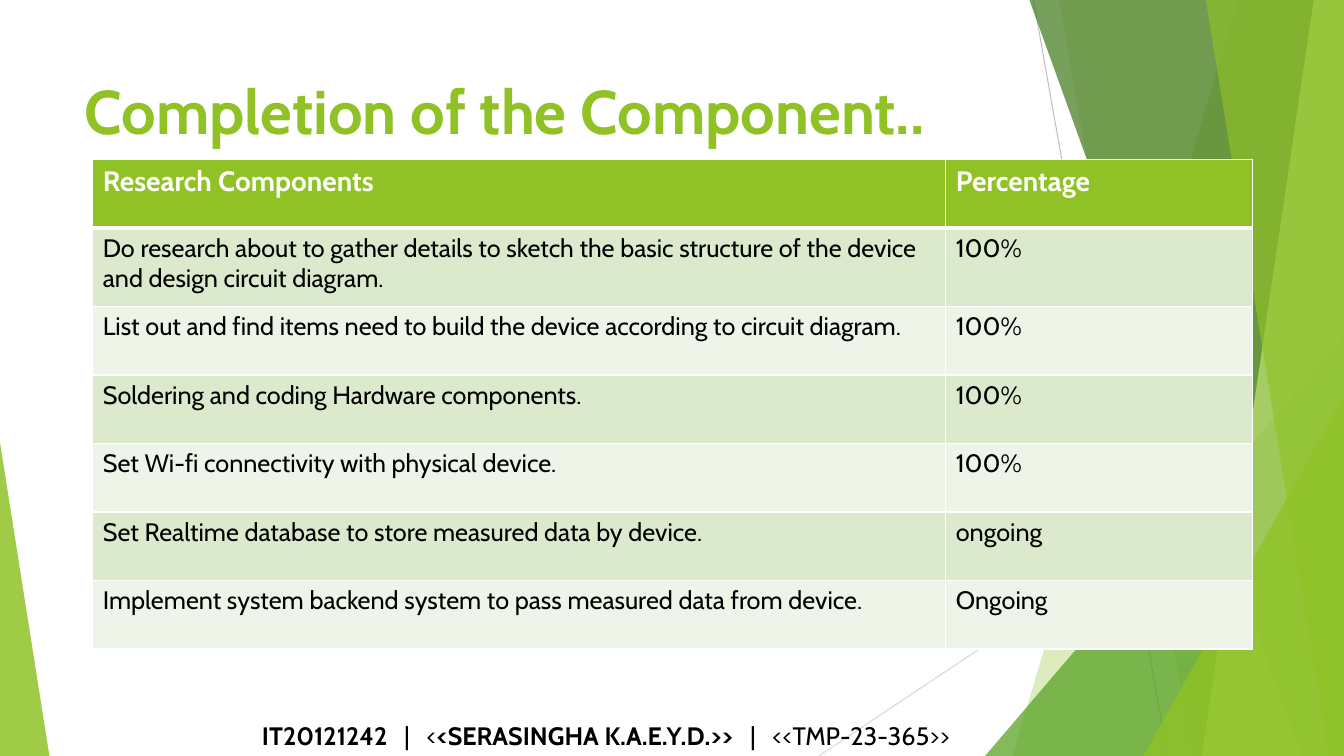
import pptx
import pptx.util
import pptx.dml.color
import pptx.enum.shapes
import pptx.enum.text
import pptx.oxml
import pptx.oxml.ns
import lxml.etree

Inches = pptx.util.Inches
Pt = pptx.util.Pt
RGBColor = pptx.dml.color.RGBColor
qn = pptx.oxml.ns.qn

FONT = "Cabin"
WIDTH, HEIGHT = 13.33, 7.5
LIME = RGBColor(0x90, 0xC2, 0x26)
GREEN = RGBColor(0x54, 0xA0, 0x21)
FOREST = RGBColor(0x3F, 0x78, 0x19)
PALE_LIME = RGBColor(0xC0, 0xE4, 0x74)
GREY = RGBColor(0xBF, 0xBF, 0xBF)
LIGHT_GREY = RGBColor(0xD9, 0xD9, 0xD9)
WHITE = RGBColor(0xFF, 0xFF, 0xFF)
BLACK = RGBColor(0, 0, 0)
BANDS = [RGBColor(0xDB, 0xE9, 0xCD), RGBColor(0xEE, 0xF4, 0xE8)]

TITLE = "Completion of the Component.."
FOOTER = [
    ("IT20121242", True),
    ("\t|\t<", False),
    ("<SERASINGHA K.A.E.Y.D.>>", True),
    ("\t|\t<<TMP-23-365>>", False),
]
FOOTER_TABS = [1.41, 1.63, 4.84, 5.06]
ROWS = [
    ("Research Components", "Percentage"),
    ("Do research about to gather details to sketch the basic structure of the device "
     "and design circuit diagram.", "100%"),
    ("List out and find items need to build the device according to circuit diagram.", "100%"),
    ("Soldering and coding Hardware components.", "100%"),
    ("Set Wi-fi connectivity with physical device.", "100%"),
    ("Set Realtime database to store measured data by device.", "ongoing"),
    ("Implement system backend system to pass measured data from device.", "Ongoing"),
]
COLUMN_WIDTHS = [8.46, 3.04]
ROW_HEIGHT, TALL_ROW_HEIGHT = 0.68, 0.78

RAYS = [
    ((10.25, 0), (11.58, HEIGHT), GREY),
    ((WIDTH, 4.03), (8.12, HEIGHT), LIGHT_GREY),
]
FACETS = [
    ("band", 12.28, 10.04, LIME, 30),
    ("band", 10.5, 11.83, LIME, 20),
    ("triangle", (9.77, 3.33, 3.56, 4.17), 1, GREEN, 72),
    ("band", 10.21, 12.91, FOREST, 70),
    ("band", 13.03, 11.92, PALE_LIME, 70),
    ("band", 11.96, 13.18, LIME, 65),
    ("triangle", (11.34, 3.93, 1.99, 3.57), 1, LIME, 80),
    ("triangle", (0, 4.39, 0.49, 3.11), 0, LIME, 85),
]


def add_ray(slide, start, end, color):
    line = slide.shapes.add_connector(
        pptx.enum.shapes.MSO_CONNECTOR.STRAIGHT, *map(Inches, start + end))
    line.line.color.rgb = color
    line.line.width = Pt(0.75)
    lxml.etree.SubElement(line._element.spPr, qn("a:effectLst"))


def add_facet(slide, kind, first, second, color, opacity):
    if kind == "band":
        corners = [(WIDTH, 0), (WIDTH, HEIGHT), (second, HEIGHT)]
        builder = slide.shapes.build_freeform(Inches(first), 0)
        builder.add_line_segments([(Inches(x), Inches(y)) for x, y in corners])
        shape = builder.convert_to_shape()
    else:
        shape = slide.shapes.add_shape(
            pptx.enum.shapes.MSO_SHAPE.ISOSCELES_TRIANGLE, *map(Inches, first))
        shape.adjustments[0] = second
    shape.shadow.inherit = False
    shape.line.fill.background()
    shape.fill.solid()
    shape.fill.fore_color.rgb = color
    color_element = shape._element.spPr.find(qn("a:solidFill"))[0]
    lxml.etree.SubElement(color_element, qn("a:alpha"), val=str(opacity * 1000))


def set_font(font, size, color, bold=None):
    font.name = FONT
    font.size = Pt(size)
    font.color.rgb = color
    font.bold = bold


def add_text_box(slide, left, top, width, height, anchor):
    box = slide.shapes.add_textbox(*map(Inches, (left, top, width, height)))
    box.text_frame.word_wrap = True
    box.text_frame.vertical_anchor = anchor
    return box.text_frame.paragraphs[0]


def set_borders(cell, top, bottom):
    properties = cell._tc.get_or_add_tcPr()
    sides = [("lnL", 1), ("lnR", 1), ("lnT", top), ("lnB", bottom)]
    for index, (side, width) in enumerate(sides):
        border = lxml.etree.Element(qn("a:" + side), w=str(Pt(width)))
        fill = lxml.etree.SubElement(border, qn("a:solidFill"))
        lxml.etree.SubElement(fill, qn("a:srgbClr"), val=str(WHITE))
        properties.insert(index, border)


def add_progress_table(slide):
    heights = [TALL_ROW_HEIGHT if index == 1 else ROW_HEIGHT for index in range(len(ROWS))]
    table = slide.shapes.add_table(
        len(ROWS), len(COLUMN_WIDTHS), Inches(0.92), Inches(1.58),
        Inches(sum(COLUMN_WIDTHS)), Inches(sum(heights))).table
    for column, width in zip(table.columns, COLUMN_WIDTHS):
        column.width = Inches(width)
    for row_index, texts in enumerate(ROWS):
        table.rows[row_index].height = Inches(heights[row_index])
        header = row_index == 0
        for column_index, text in enumerate(texts):
            cell = table.cell(row_index, column_index)
            cell.text = text
            cell.fill.solid()
            cell.fill.fore_color.rgb = LIME if header else BANDS[(row_index - 1) % 2]
            set_borders(cell, 3 if row_index == 1 else 1, 3 if header else 1)
            set_font(cell.text_frame.paragraphs[0].font,
                     20 if header else 18, WHITE if header else BLACK, header)


def add_footer(slide):
    paragraph = add_text_box(slide, 2.5, 7.1, 8.08, 0.4, pptx.enum.text.MSO_ANCHOR.MIDDLE)
    tab_list = lxml.etree.SubElement(paragraph._p.get_or_add_pPr(), qn("a:tabLst"))
    for position in FOOTER_TABS:
        lxml.etree.SubElement(tab_list, qn("a:tab"), pos=str(Inches(position)), algn="l")
    set_font(paragraph.font, 18, BLACK)
    for text, bold in FOOTER:
        run = paragraph.add_run()
        run.text = text
        run.font.bold = bold


def main():
    presentation = pptx.Presentation()
    presentation.slide_width = Inches(WIDTH)
    presentation.slide_height = Inches(HEIGHT)
    slide = presentation.slides.add_slide(presentation.slide_layouts[6])
    for ray in RAYS:
        add_ray(slide, *ray)
    for facet in FACETS:
        add_facet(slide, *facet)
    add_footer(slide)
    title = add_text_box(slide, 0.74, 0.67, 9.4, 1.44, pptx.enum.text.MSO_ANCHOR.TOP)
    title.text = TITLE
    set_font(title.font, 44, LIME, True)
    add_progress_table(slide)
    presentation.save("out.pptx")


if __name__ == "__main__":
    main()
